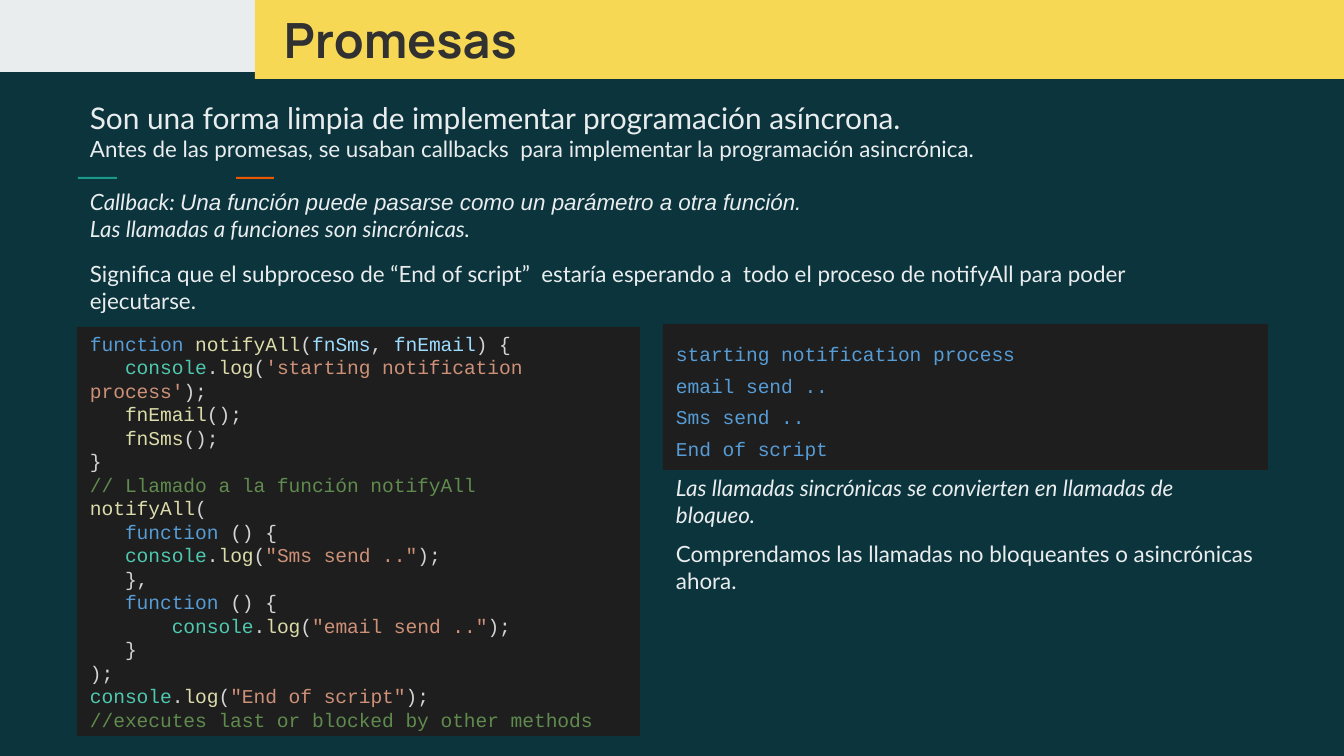
from lxml.etree import SubElement
from pptx import Presentation
from pptx.dml.color import RGBColor
from pptx.enum.shapes import MSO_CONNECTOR as Connector, MSO_SHAPE as Shape
from pptx.enum.text import MSO_ANCHOR as Anchor, PP_ALIGN as Align
from pptx.oxml.ns import qn
from pptx.util import Pt

PX = 914400 / 134.4
BACKDROP, PALE, DARK = "0C343D", "E9EDEE", "1E1E1E"
KEYWORD, CALL, PLAIN, PARAM = "569CD6", "DCDCAA", "D4D4D4", "9CDCFE"
OBJECT, STRING, COMMENT = "4EC9B0", "CE9178", "608B4E"


def px(length):
    return round(length * PX)


def color(value):
    return RGBColor.from_string(value)


def add_block(slide, box, fill):
    block = slide.shapes.add_shape(Shape.RECTANGLE, *map(px, box))
    block.shadow.inherit = False
    block.fill.solid()
    block.fill.fore_color.rgb = color(fill)
    block.line.fill.background()
    return block


def add_text_area(slide, box):
    return slide.shapes.add_textbox(*map(px, box))


def prepare(holder):
    frame = holder.text_frame
    frame.word_wrap = True
    frame.vertical_anchor = Anchor.MIDDLE
    frame.margin_left = frame.margin_right = px(13)
    frame.margin_top = frame.margin_bottom = px(13)
    return frame


def add_line(frame, size, face="Lato", ink=PALE, bold=False, italic=False):
    first = frame.paragraphs[0]
    line = first if not first.runs else frame.add_paragraph()
    line.alignment = Align.LEFT
    font = line.font
    font.size, font.bold, font.italic = Pt(size), bold, italic
    if face:
        font.name = face
    if ink:
        font.color.rgb = color(ink)
    return line


def add_run(line, text):
    run = line.add_run()
    run.text = text
    return run


def log(indent, message):
    return [(PLAIN, indent), (OBJECT, "console"), (PLAIN, "."), (CALL, "log"),
            (PLAIN, "("), (STRING, message), (PLAIN, ");")]


CALLBACK_START = [(PLAIN, "   "), (KEYWORD, "function"), (PLAIN, " () {")]
CODE = [
    [(KEYWORD, "function "), (CALL, "notifyAll"), (PLAIN, "("), (PARAM, "fnSms"),
     (PLAIN, ", "), (PARAM, "fnEmail"), (PLAIN, ") {")],
    log("   ", "'starting notification process'"),
    [(CALL, "   fnEmail"), (PLAIN, "();")],
    [(CALL, "   fnSms"), (PLAIN, "();")],
    [(PLAIN, "}")],
    [(COMMENT, "// Llamado a la función notifyAll")],
    [(CALL, "notifyAll"), (PLAIN, "(")],
    CALLBACK_START,
    log("   ", '"Sms send .."'),
    [(PLAIN, "   },")],
    CALLBACK_START,
    log("       ", '"email send .."'),
    [(PLAIN, "   }")],
    [(PLAIN, ");")],
    log("", '"End of script"'),
    [(COMMENT, "//executes last or blocked by other methods")],
]
OUTPUT = ["starting notification process", "email send ..", "Sms send ..", "End of script"]


def add_header(slide, box):
    left, top, width, height = box
    banner_left = left + 255
    add_block(slide, (left, top, width, height - 7), PALE)
    add_block(slide, (banner_left, top, width - 255, height), "F6D854")
    heading = prepare(add_text_area(slide, (banner_left + 16, top + 9, 645, 61)))
    add_run(add_line(heading, 26, "Manrope", "313131", bold=True), "Promesas")


def add_accents(slide, box):
    left, top, width, height = box
    half = width // 2
    for offset, accent in ((half, "EB5600"), (0, "1A9988")):
        add_block(slide, (left + offset, top, half, height), accent)
    middle = top + 1
    ends = (left + 39, middle, left + width - 38, middle)
    gap = slide.shapes.add_connector(Connector.STRAIGHT, *map(px, ends))
    gap.line.color.rgb = color(BACKDROP)
    gap.line.width = Pt(9)
    SubElement(gap.element.spPr, qn("a:effectLst"))


def add_intro(slide, box):
    left, top, width, height = box
    summary = prepare(add_text_area(slide, (left, top, width, 72)))
    add_run(add_line(summary, 16),
            "Son una forma limpia de implementar programación asíncrona.")
    add_run(add_line(summary, 12),
            "Antes de las promesas, se usaban callbacks  para implementar "
            "la programación asincrónica.")

    add_accents(slide, (left + 1, top + 82, 196, 2))

    details = prepare(add_text_area(slide, (left, top + 83, 1106, height - 83)))
    definition = add_line(details, 12, face=None, italic=True)
    for face, text in (
        ("Lato", "Callback: "),
        ("Arial", "Una función puede pasarse como un parámetro a otra función."),
    ):
        add_run(definition, text).font.name = face
    add_run(add_line(details, 12, italic=True), "Las llamadas a funciones son sincrónicas.")
    meaning = add_line(details, 12)
    meaning.space_before = meaning.space_after = Pt(10)
    add_run(meaning, "Significa que el subproceso de “End of script”  estaría esperando a  "
                     "todo el proceso de notifyAll para poder ejecutarse.")


def add_code(slide, box):
    listing = prepare(add_block(slide, box, DARK))
    for tokens in CODE:
        inks = {ink for ink, text in tokens}
        shared = inks.pop() if len(inks) == 1 else None
        line = add_line(listing, 10.5, "Courier New", shared)
        for ink, text in tokens:
            if text:
                run = add_run(line, text)
                if not shared:
                    run.font.color.rgb = color(ink)


def add_result(slide, box):
    left, top, width, height = box
    console = prepare(add_block(slide, (left, top, width, 146), DARK))
    for text in OUTPUT:
        line = add_line(console, 10.5, "Courier New", KEYWORD)
        line.line_spacing = 1.36
        add_run(line, text)

    blocking = prepare(add_text_area(slide, (left, top + 147, width, 60)))
    add_run(add_line(blocking, 12, italic=True),
            "Las llamadas sincrónicas se convierten en llamadas de bloqueo.")
    upcoming = prepare(add_text_area(slide, (left, top + 207, width, height - 207)))
    add_run(add_line(upcoming, 12),
            "Comprendamos las llamadas no bloqueantes o asincrónicas ahora.")


def main():
    deck = Presentation()
    deck.slide_width, deck.slide_height = px(1344), px(756)
    slide = deck.slides.add_slide(deck.slide_layouts[6])
    slide.background.fill.solid()
    slide.background.fill.fore_color.rgb = color(BACKDROP)
    add_header(slide, (0, 0, 1344, 79))
    add_intro(slide, (77, 95, 1191, 229))
    add_result(slide, (663, 324, 605, 279))
    add_code(slide, (77, 327, 563, 409))
    deck.save("out.pptx")


if __name__ == "__main__":
    main()
